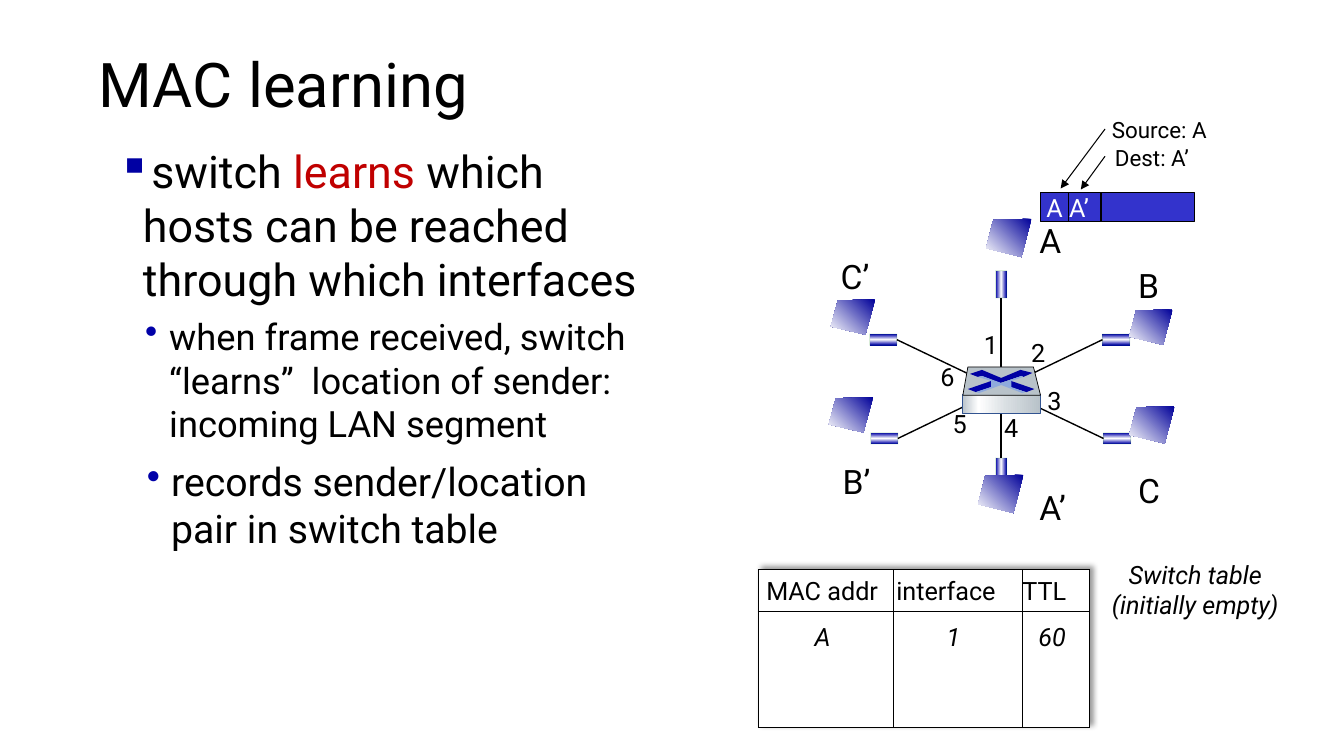
from lxml import etree
from pptx import Presentation
from pptx import util as u
from pptx.dml.color import RGBColor
from pptx.enum import shapes, text
from pptx.oxml import parse_xml
from pptx.oxml.ns import nsdecls, qn

THEME = {
    "font": "Roboto", "ink": "000000", "paper": "FFFFFF", "accent": "C00000",
    "frame": "3333CC", "mark": "0000A3", "dot": "0000A8", "steel": "B8C2C9",
    "edge": "325491", "glow": "8FAADC", "rim": "008000",
    "screen": [(0, "000099"), (100, "FFFFFF")],
    "port": [(0, "0000A8"), (50, "FFFFFF"), (99, "0000A8")],
    "front": [(0, "B8C2C9"), (21, "FFFFFF"), (60, "D6DCE0"), (100, "B8C2C9")],
    "title": 44, "lead": 32, "sub": 25.9, "note": 28, "host": 24, "small": 18, "tag": 16,
}
T = THEME

TITLE = ("MAC learning", (0.88, 0.38, 11.5, 0.98))
BULLETS = [
    ([("switch ", "ink"), ("learns", "accent"),
      (" which hosts can be reached through which interfaces", "ink")],
     (1.07, 1.38, 5.6, 5.42), "lead", "▪", "mark", 0.25, 0.25),
    ([("when frame received, switch “learns”  location of sender: incoming LAN segment", "ink")],
     (0.84, 3.07, 5.6, 1.54), "sub", "•", "dot", 0.74, 0.24),
    ([("records sender/location pair in switch table", "ink")],
     (0.86, 4.49, 5.6, 1.13), "note", "•", "dot", 0.74, 0.24),
]
HOSTS = {
    "A": ((10.21, 2.13, 0.43), (9.78, 2.17, 0.45, 0.38), (9.93, 2.82)),
    "B": ((11.19, 2.58, 0.43), (11.2, 3.07, 0.43, 0.35), (11.07, 3.37)),
    "C": ((11.19, 4.61, 0.45), (11.2, 4.03, 0.45, 0.37), (11.08, 4.35)),
    "A’": ((10.21, 4.78, 0.5), (9.7, 4.71, 0.45, 0.38), (9.93, 4.68)),
    "B’": ((8.26, 4.52, 0.5), (8.22, 3.94, 0.44, 0.35), (8.77, 4.35)),
    "C’": ((8.24, 2.49, 0.52), (8.24, 2.97, 0.44, 0.35), (8.76, 3.37)),
}
SPOKES = [("A", 2, "A’", 0), ("C’", 3, "C", 1), ("B’", 3, "B", 1)]
SCREEN = [(1, 0), (0.16, 0.03), (0, 0.77), (0.78, 1)]
PORT = (0.11, 0.27)
NUMBERS = [("1", 9.66, 3.22), ("2", 10.13, 3.3), ("3", 10.29, 3.77),
           ("4", 9.86, 4.04), ("5", 9.35, 4), ("6", 9.23, 3.54)]
FRONT = (9.54, 3.91, 0.78, 0.19)
SWITCH = [
    ("steel", "ink", [(9.55, 3.92), (9.6, 3.64), (10.25, 3.64), (10.32, 3.92)]),
    ("mark", None, [(10.12, 3.67), (10.24, 3.7), (10.15, 3.74), (10.13, 3.73), (9.92, 3.8),
                    (9.74, 3.73), (9.7, 3.74), (9.62, 3.71), (9.74, 3.67), (9.93, 3.75)]),
    ("mark", None, [(10.03, 3.78), (10.26, 3.86), (10.18, 3.89), (10.02, 3.84)]),
    ("dot", None, [(9.83, 3.78), (9.83, 3.84), (9.68, 3.89), (9.6, 3.86)]),
    ("glow", None, [(9.7, 3.74), (9.74, 3.73), (9.93, 3.8), (10.13, 3.73), (10.15, 3.74),
                    (10.03, 3.78), (10.03, 3.84), (10.17, 3.89), (10.14, 3.9), (9.93, 3.82),
                    (9.71, 3.9), (9.68, 3.89), (9.83, 3.84), (9.83, 3.78)]),
]
FRAME = (10.32, 1.91, 1.53, 0.29)
FIELDS = ("A A’", 10.28, 1.86, 0.73)
SPLITS = [10.6, 10.92]
TAGS = [("Source: A", 10.93, 1.1, 1.19, (10.96, 1.28), (10.52, 1.87)),
        ("Dest: A’", 10.96, 1.38, 1.05, (10.96, 1.55), (10.72, 1.88))]
TABLE = (7.52, 5.65, 3.29, 1.57)
COLS = [1.34, 1.28, 0.67]
ROWS = [(0.42, 0.08, False, [("MAC addr", 0.08), ("interface", 0.03), ("TTL", 0)]),
        (1.15, 0.11, True, [("A", 0.56), ("1", 0.53), ("60", 0.16)])]
CAPTION = (["Switch table", "(initially empty)"], 10.91, 5.5, 1.89)


def cm(inch):
    return u.Cm(inch * 2.54)


def rgb(key):
    return RGBColor.from_string(T[key])


def put(obj, fmt):
    for key, val in fmt.items():
        setattr(obj, key, val)


def write(par, words, size, hue="ink", ital=False):
    run = par.add_run()
    run.text = words
    put(run.font, {"name": T["font"], "size": u.Pt(T[size]), "italic": ital, "bold": False})
    run.font.color.rgb = rgb(hue)


def box(area, wrap=True):
    frame = slide.shapes.add_textbox(*map(cm, area)).text_frame
    frame.word_wrap = wrap
    return frame


def label(words, x, y, wide, size, hue="ink"):
    tall = T[size] * 1.2 / 72 + 0.1
    write(box((x, y, wide, tall), False).paragraphs[0], words, size, hue)


def blend(shape, stops, angle):
    parts = "".join(f'<a:gs pos="{pos * 1000}"><a:srgbClr val="{hue}"/></a:gs>'
                    for pos, hue in stops)
    shape.fill.background()
    old = shape._element.spPr.find(qn("a:noFill"))
    old.getparent().replace(old, parse_xml(
        f'<a:gradFill {nsdecls("a")} rotWithShape="1"><a:gsLst>{parts}</a:gsLst>'
        f'<a:lin ang="{angle * 60000}" scaled="0"/></a:gradFill>'))


def style(shape, fill=None, edge=None, width=0.75):
    shape.shadow.inherit = False
    if fill:
        shape.fill.solid()
        shape.fill.fore_color.rgb = rgb(fill)
    if edge:
        shape.line.color.rgb = rgb(edge)
        shape.line.width = u.Pt(width)
    else:
        shape.line.fill.background()
    return shape


def rect(area, **look):
    return style(slide.shapes.add_shape(shapes.MSO_SHAPE.RECTANGLE, *map(cm, area)), **look)


def outline(points, **look):
    pts = [(cm(x), cm(y)) for x, y in points]
    pen = slide.shapes.build_freeform(*pts[0])
    pen.add_line_segments(pts[1:], close=True)
    return style(pen.convert_to_shape(), **look)


def line(start, end, width=0.75):
    link = slide.shapes.add_connector(shapes.MSO_CONNECTOR.STRAIGHT, *map(cm, start + end))
    link.line.color.rgb = rgb("ink")
    link.line.width = u.Pt(width)
    etree.SubElement(link._element.spPr, qn("a:effectLst"))
    return link


deck = Presentation()
put(deck, {"slide_width": cm(13.33), "slide_height": cm(7.5)})
slide = deck.slides.add_slide(deck.slide_layouts[6])

head = box(TITLE[1])
head.vertical_anchor = text.MSO_ANCHOR.MIDDLE
head.paragraphs[0].line_spacing = 0.9
write(head.paragraphs[0], TITLE[0], "title")

for runs, area, size, mark, hue, left, hang in BULLETS:
    par = box(area).paragraphs[0]
    props = par._p.get_or_add_pPr()
    props.set("marL", str(cm(left)))
    props.set("indent", str(-cm(hang)))
    tint = etree.SubElement(props, qn("a:buClr"))
    etree.SubElement(tint, qn("a:srgbClr"), val=T[hue])
    etree.SubElement(props, qn("a:buChar"), char=mark)
    for words, ink in runs:
        write(par, words, size, ink)

ports = {}
for name, (spot, (x, y, w, h), (mx, my)) in HOSTS.items():
    label(name, *spot, "host")
    pw, ph = PORT if name in ("A", "A’") else PORT[::-1]
    port = rect((mx - pw / 2, my - ph / 2, pw, ph), edge="rim")
    blend(port, T["port"], 0 if pw < ph else 90)
    tint = port._element.spPr.find(qn("a:ln")).find(".//" + qn("a:srgbClr"))
    etree.SubElement(tint, qn("a:alpha"), val="15000")
    ports[name] = port
    blend(outline([(x + w * fx, y + h * fy) for fx, fy in SCREEN]), T["screen"], 135)

for one, out, two, into in SPOKES:
    spoke = line((0, 0), (1, 1), 1)
    spoke.begin_connect(ports[one], out)
    spoke.end_connect(ports[two], into)

blend(rect(FRONT, edge="edge", width=0.5), T["front"], 0)
for fill, edge, points in SWITCH:
    outline(points, fill=fill, edge=edge, width=0.5)
for digit, x, y in NUMBERS:
    label(digit, x, y, 0.34, "small")

rect(FRAME, fill="frame", edge="ink")
label(*FIELDS, "small", "paper")
for x in SPLITS:
    line((x, FRAME[1]), (x, FRAME[1] + FRAME[3]))
for words, x, y, wide, start, end in TAGS:
    label(words, x, y, wide, "tag")
    arrow = line(start, end)
    etree.SubElement(arrow.line._get_or_add_ln(), qn("a:tailEnd"), type="triangle")

back = rect(TABLE, fill="paper", edge="ink")
glow = etree.SubElement(back._element.spPr.find(qn("a:effectLst")), qn("a:outerShdw"),
                        blurRad=str(u.Pt(4)), dist=str(u.Pt(3)), dir=str(315 * 60000))
tint = etree.SubElement(glow, qn("a:srgbClr"), val=T["ink"])
etree.SubElement(tint, qn("a:alpha"), val="40000")

grid = slide.shapes.add_table(len(ROWS), len(COLS), *map(cm, TABLE)).table
put(grid, {"first_row": False, "horz_banding": False})
for col, wide in zip(grid.columns, COLS):
    col.width = cm(wide)
for row, (tall, top, ital, cells) in zip(grid.rows, ROWS):
    row.height = cm(tall)
    for cell, (words, left) in zip(row.cells, cells):
        put(cell, {"margin_left": cm(left), "margin_right": 0,
                   "margin_top": cm(top), "margin_bottom": 0})
        cell.fill.solid()
        cell.fill.fore_color.rgb = rgb("paper")
        write(cell.text_frame.paragraphs[0], words, "small", ital=ital)
        for spot, side in enumerate("LRTB"):
            cell._tc.get_or_add_tcPr().insert(spot, parse_xml(
                f'<a:ln{side} {nsdecls("a")} w="{u.Pt(0.75)}"><a:solidFill>'
                f'<a:srgbClr val="{T["ink"]}"/></a:solidFill></a:ln{side}>'))

lines, x, y, wide = CAPTION
frame = box((x, y, wide, 0.71), False)
for spot, words in enumerate(lines):
    par = frame.add_paragraph() if spot else frame.paragraphs[0]
    par.alignment = text.PP_ALIGN.CENTER
    write(par, words, "small", ital=True)

deck.save("out.pptx")
